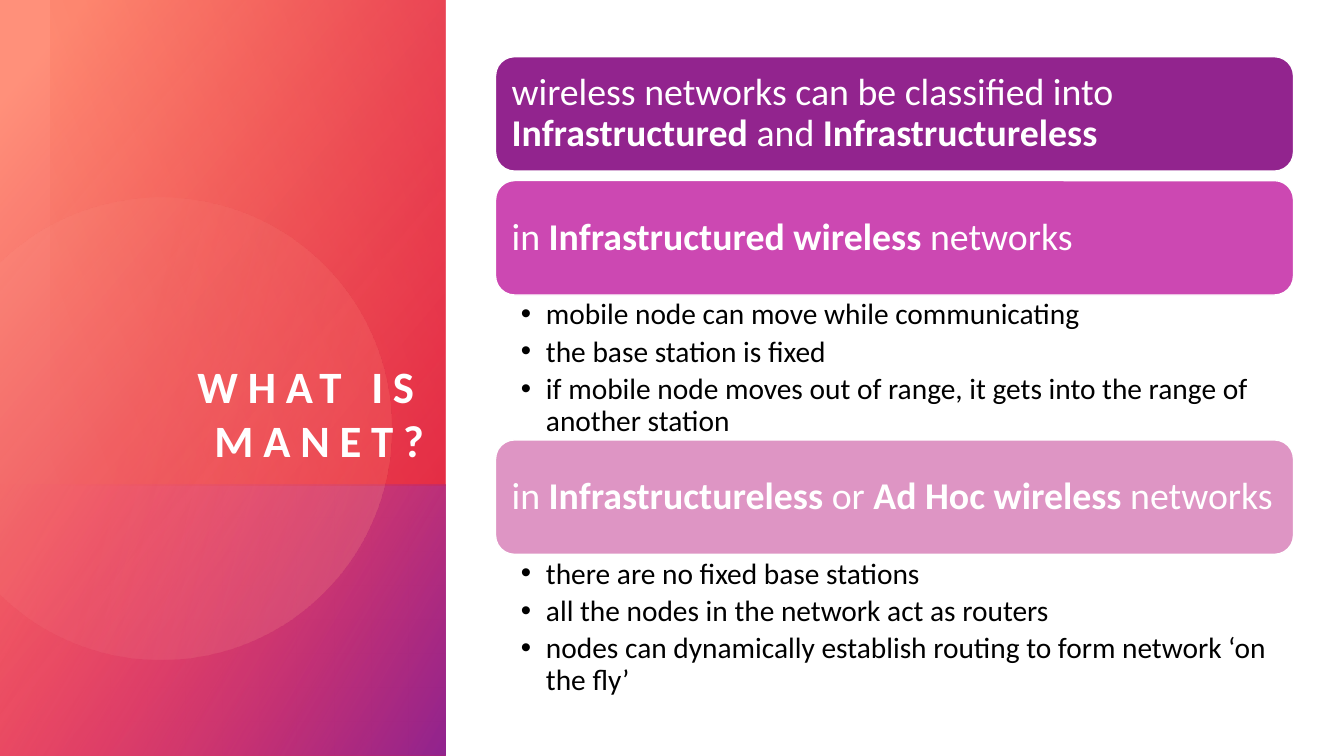
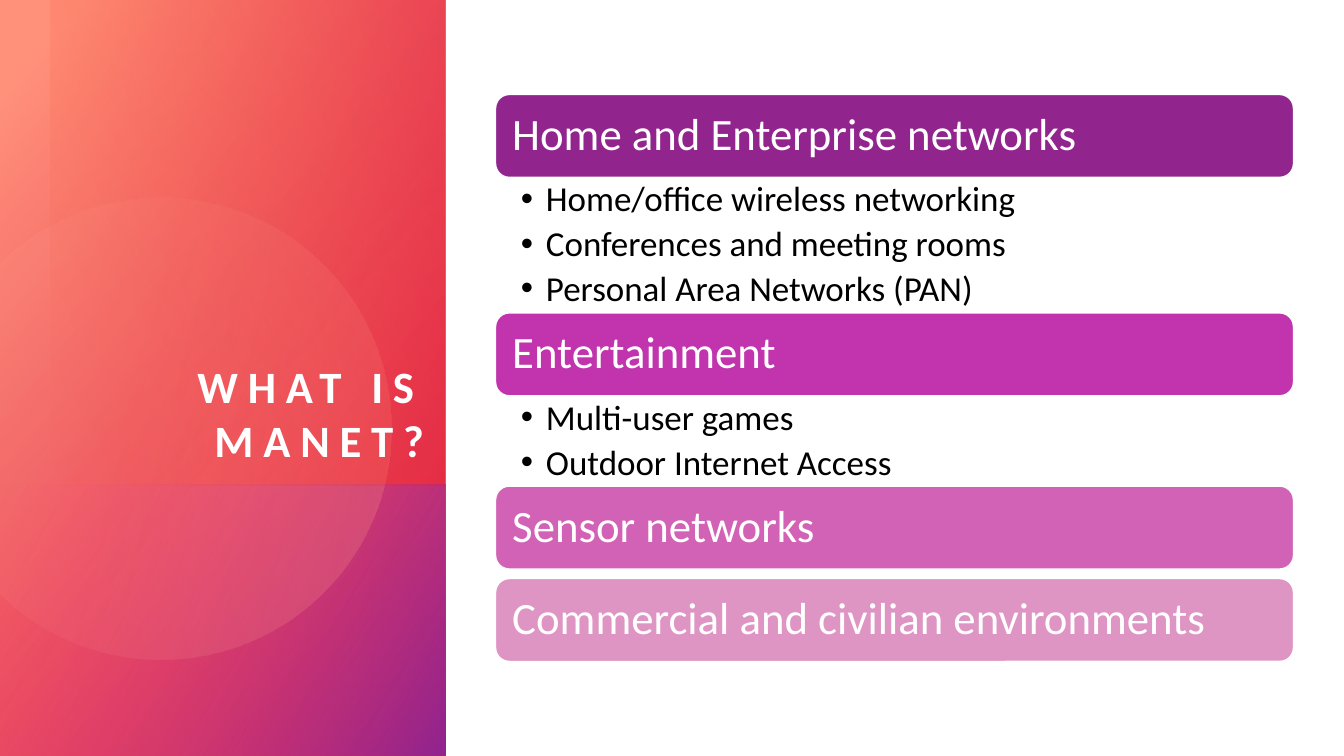
from math import acos, cos, sin

from lxml import etree
from pptx import Presentation
from pptx.dml.color import RGBColor
from pptx.enum import shapes as kinds, text as txt
from pptx.oxml.ns import qn
from pptx.util import Emu, Pt

PX = 9525  # 96 px to the inch
FONT = "Calibri"
COLORS = {
    "white": "FFFFFF", "black": "000000",
    "peach": "FF907A", "red": "DA002F", "rose": "FF5076", "orange": "FE4A00",
    "blush": "FFBCAF", "purple": "92248E", "magenta": "C134AD",
    "orchid": "CC48B2", "pink": "D262B6", "pale": "DE95C4",
}
PANEL_W, PANEL_SPLIT, STRIP_W = 424, 462, 48
BAR_LEFT, BAR_W, BAR_GAP = 472, 760, 9

# Each section: bar colour, heading (** marks bold), list height, list items
SLIDES = [
    dict(top=54, bar_h=109, bar_inset=10, bar_size=27, item_size=21, item_gap=4, sections=[
        ("purple", "wireless networks can be classified into **Infrastructured** and "
                   "**Infrastructureless**", 0, []),
        ("orchid", "in **Infrastructured wireless **networks", 138, [
            "mobile node can move while communicating",
            "the base station is fixed",
            "if mobile node moves out of range, it gets into the range of another station"]),
        ("pale", "in **Infrastructureless **or **Ad Hoc wireless **networks", 138, [
            "there are no fixed base stations",
            "all the nodes in the network act as routers",
            "nodes can dynamically establish routing to form network ‘on the fly’"]),
    ]),
    dict(top=90, bar_h=79, bar_inset=12, bar_size=32, item_size=25, item_gap=5, sections=[
        ("purple", "Home and Enterprise networks", 129, [
            "Home/office wireless networking",
            "Conferences and meeting rooms",
            "Personal Area Networks (PAN)"]),
        ("magenta", "Entertainment", 86, [
            "Multi-user games",
            "Outdoor Internet Access"]),
        ("pink", "Sensor networks", 0, []),
        ("pale", "Commercial and civilian environments", 0, []),
    ]),
]


def write(shape, lines, size, color, bold=False, align=txt.PP_ALIGN.LEFT,
          anchor=txt.MSO_ANCHOR.TOP, insets=(0, 0, 0, 0), spacing=0.9,
          after=0, hanging=0, tracking=0):
    """Fill a shape with one paragraph per line; ** switches bold."""
    frame = shape.text_frame
    frame.word_wrap, frame.auto_size = True, txt.MSO_AUTO_SIZE.NONE
    frame.vertical_anchor = anchor
    (frame.margin_left, frame.margin_top,
     frame.margin_right, frame.margin_bottom) = (Emu(i * PX) for i in insets)
    for n, line in enumerate(lines):
        para = frame.add_paragraph() if n else frame.paragraphs[0]
        para.alignment, para.line_spacing = align, spacing
        para.space_before, para.space_after = Pt(0), Pt(after)
        if hanging:
            props = para._p.get_or_add_pPr()
            props.set("marL", str(hanging * PX))
            props.set("indent", str(-hanging * PX))
        for k, piece in enumerate(line.split("**")):
            if not piece:
                continue
            run = para.add_run()
            run.text = piece
            run.font.name, run.font.size = FONT, Pt(size)
            run.font.bold = bold or k % 2 == 1
            run.font.color.rgb = RGBColor.from_string(COLORS[color])
            if tracking:
                run._r.get_or_add_rPr().set("spc", str(tracking * 100))


def shade(shape, angle, *stops):
    """Two-stop gradient, angle clockwise; a stop is (position %, colour, opacity %)."""
    shape.shadow.inherit = False
    shape.line.fill.background()
    shape.fill.gradient()
    shape.fill.gradient_angle = 360 - angle
    for stop, (position, color, _) in zip(shape.fill.gradient_stops, stops):
        stop.position = position / 100
        stop.color.rgb = RGBColor.from_string(COLORS[color])
    for node, (_, _, opacity) in zip(shape._element.spPr.iter(qn("a:srgbClr")), stops):
        etree.SubElement(node, qn("a:alpha")).set("val", str(opacity * 1000))


prs = Presentation()
prs.slide_width, prs.slide_height = Emu(1280 * PX), Emu(720 * PX)
two_lists = prs.slide_layouts[3]

# Circle outline, cut off at the slide's left edge
CX, CY, RADIUS, STEPS = 153, 408, 220, 120
cut = acos(-CX / RADIUS)
angles = [cut * (2 * i / STEPS - 1) for i in range(STEPS + 1)]
outline = [(round((CX + RADIUS * cos(a)) * PX), round((CY + RADIUS * sin(a)) * PX))
           for a in angles]

for page in SLIDES:
    slide = prs.slides.add_slide(two_lists)
    title, *lists = slide.placeholders

    # Gradient panel on the left
    panel_parts = [
        ((0, 0, PANEL_W, 720), 40, (8, "peach", 100), (100, "red", 89)),
        ((0, PANEL_SPLIT, PANEL_W, 720 - PANEL_SPLIT), 30,
         (0, "rose", 0), (99, "purple", 100)),
        (None, 14, (36, "blush", 6), (100, "peach", 26)),
        ((STRIP_W, 0, PANEL_W - STRIP_W, PANEL_SPLIT), 160,
         (0, "red", 29), (100, "orange", 0)),
    ]
    for box, angle, *stops in panel_parts:
        if box:
            part = slide.shapes.add_shape(kinds.MSO_SHAPE.RECTANGLE, *(Emu(v * PX) for v in box))
        else:
            circle = slide.shapes.build_freeform(*outline[0])
            circle.add_line_segments(outline[1:], close=True)
            part = circle.convert_to_shape()
        shade(part, angle, *stops)

    # Title, brought in front of the panel
    title.left, title.top, title.width, title.height = (Emu(v * PX) for v in (48, 91, 356, 353))
    write(title, ["WHAT IS MANET?"], 32, "white", bold=True, align=txt.PP_ALIGN.RIGHT,
          anchor=txt.MSO_ANCHOR.BOTTOM, spacing=1.0, tracking=7)
    slide.shapes._spTree.append(title._element)

    # Heading bars, each followed by its list or by a gap
    y = page["top"]
    free_lists = iter(lists)
    for color, heading, list_h, items in page["sections"]:
        bar = slide.shapes.add_shape(kinds.MSO_SHAPE.ROUNDED_RECTANGLE, Emu(BAR_LEFT * PX),
                                     Emu(y * PX), Emu(BAR_W * PX), Emu(page["bar_h"] * PX))
        bar.shadow.inherit = False
        bar.fill.solid()
        bar.fill.fore_color.rgb = RGBColor.from_string(COLORS[color])
        bar.line.color.rgb = RGBColor.from_string(COLORS["white"])
        bar.line.width = Pt(1)
        write(bar, [heading], page["bar_size"], "white", anchor=txt.MSO_ANCHOR.MIDDLE,
              insets=(page["bar_inset"],) * 4)
        y += page["bar_h"]
        if items:
            points = next(free_lists)
            points.left, points.top = Emu(BAR_LEFT * PX), Emu(y * PX)
            points.width, points.height = Emu(BAR_W * PX), Emu(list_h * PX)
            write(points, items, page["item_size"], "black", insets=(24, 4, 20, 4),
                  after=page["item_gap"], hanging=24)
        y += list_h or BAR_GAP

    # Unused date, footer or list placeholders
    for spare in free_lists:
        spare._element.getparent().remove(spare._element)

prs.save("out.pptx")
